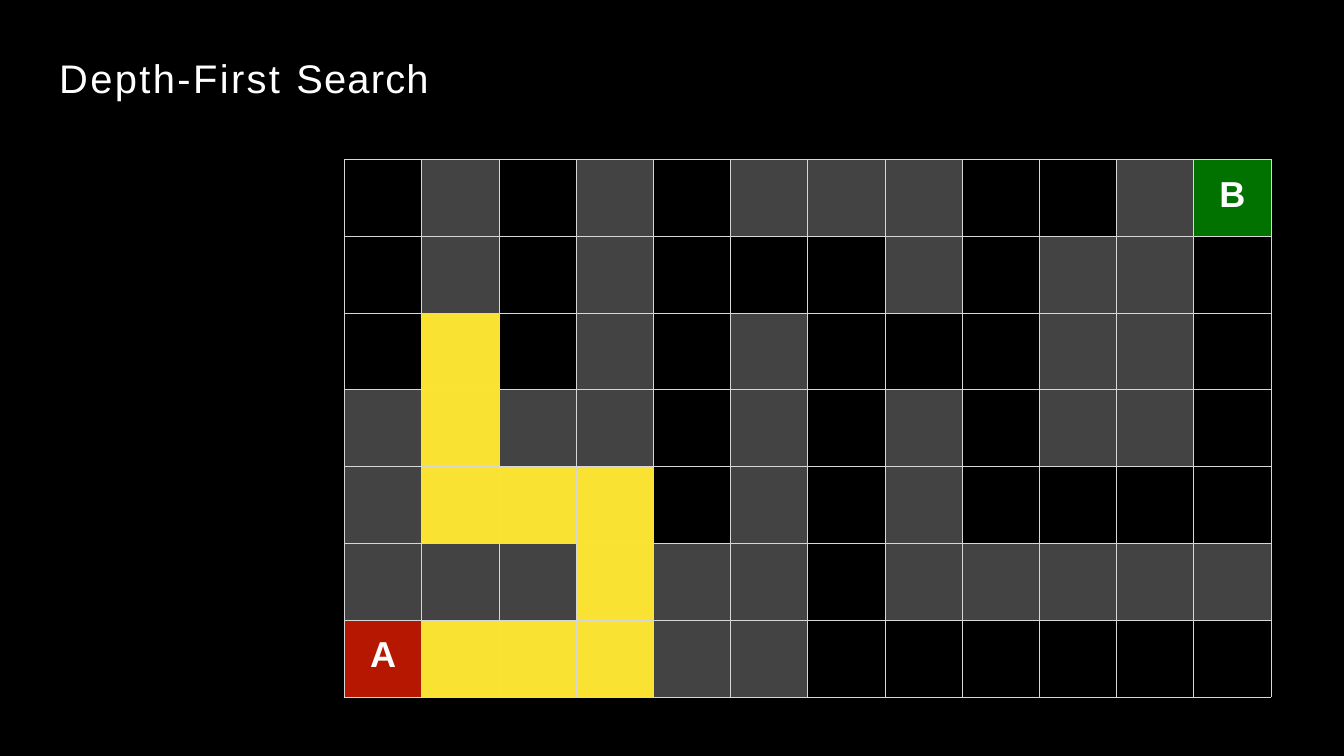
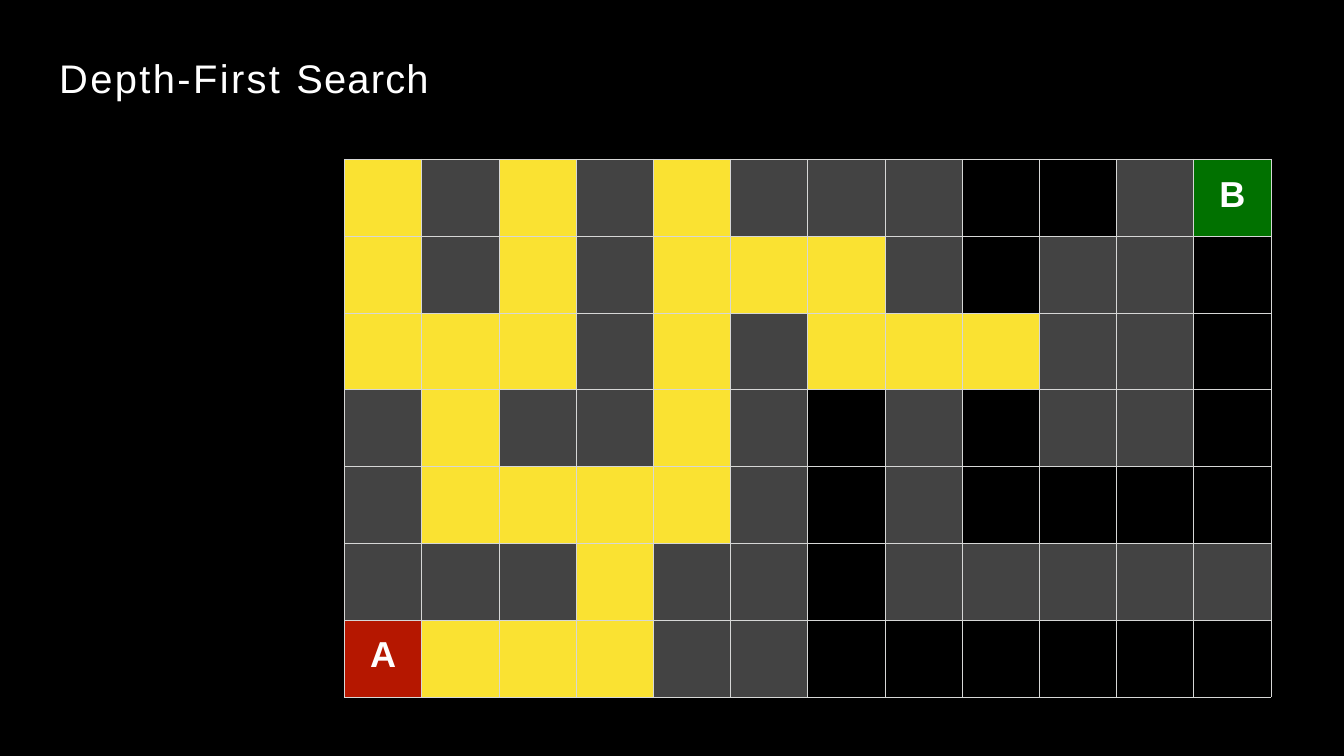
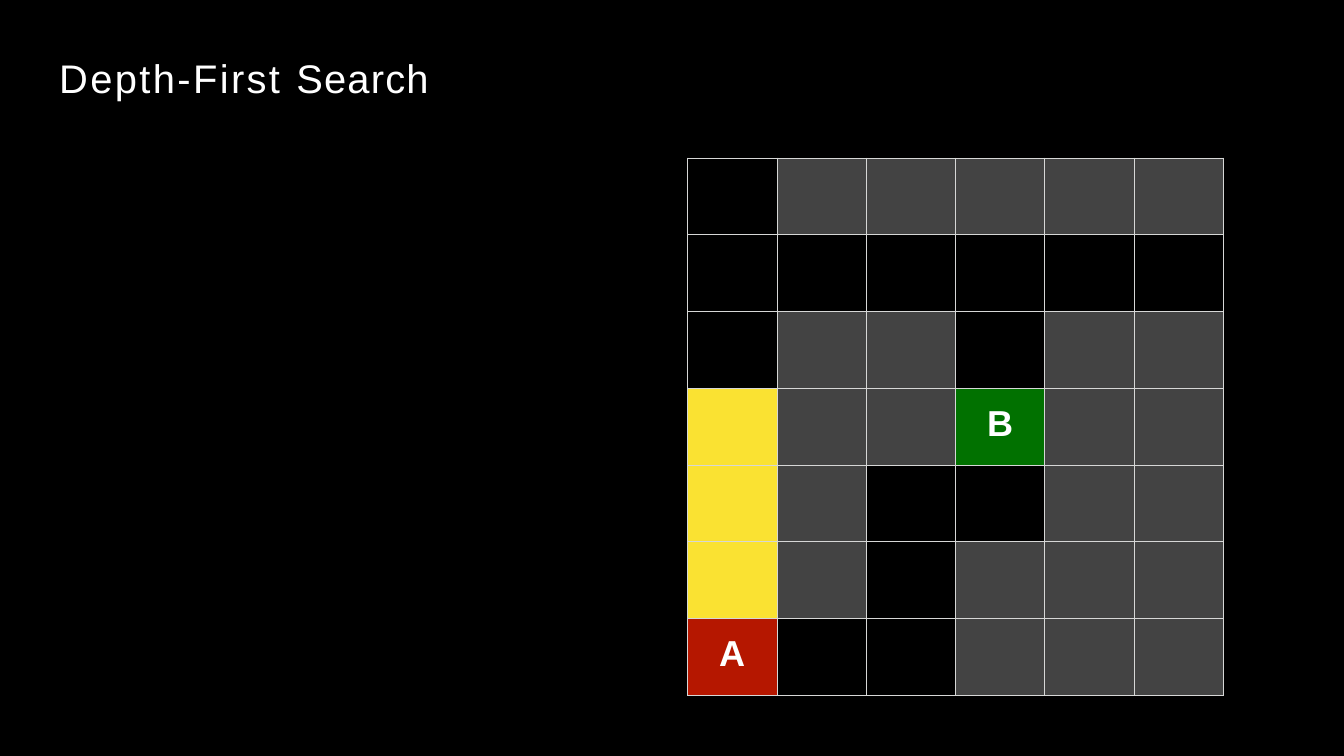
from lxml import etree
from pptx import Presentation
from pptx import util as u
from pptx.dml.color import RGBColor
from pptx.enum import shapes, text
from pptx.oxml import ns

COLORS = {
    "background": "000000",
    "text": "FFFFFF",
    "grid": "D6D7D6",
    "open": "000000",
    "wall": "434343",
    "explored": "FAE232",
    "start": "B51700",
    "goal": "017100",
}
FONT = "Arial"
TITLE_BOX = (69.75, 62, 439, 58)
TITLE_SPANS = (("Depth-First ", 2.8), ("Search", 1.4))
CELL_KINDS = {"#": "wall", ".": "open", "A": "start", "B": "goal"}

WIDE_MAZE = (
    "2#2#2###..#B",
    "2#2#222#.##.",
    "212#2#222##.",
    "#1##2#.#.##.",
    "#1112#.#....",
    "###1##.#####",
    "A111##......",
)
RING_MAZE = (
    ".#####",
    "......",
    ".##.##",
    "1##B##",
    "1#..##",
    "1#.###",
    "A..###",
)
WIDE_BOX = (406, 187.75, 1091.5, 633.5)
RING_BOX = (810, 186, 631.25, 633.5)
SLIDES = (
    (WIDE_MAZE, 1, WIDE_BOX),
    (WIDE_MAZE, 2, WIDE_BOX),
    (RING_MAZE, 1, RING_BOX),
)


def color(name):
    """Return the named palette colour."""
    return RGBColor.from_string(COLORS[name])


def add_backdrop(deck, page):
    """Draw a full-size backdrop and move it to the back of the master."""
    backdrop = page.shapes.add_shape(
        shapes.MSO_SHAPE.RECTANGLE, 0, 0, deck.slide_width, deck.slide_height
    )
    backdrop.shadow.inherit = False
    backdrop.fill.solid()
    backdrop.fill.fore_color.rgb = color("background")
    backdrop.line.fill.background()
    deck.slide_master.shapes._spTree.insert(2, backdrop._element)


def add_span(para, words, size, bold=False, spacing=0):
    """Add a formatted run of text to a paragraph."""
    span = para.add_run()
    span.text = words
    span.font.name = FONT
    span.font.size = u.Pt(size)
    span.font.bold = bold
    span.font.color.rgb = color("text")
    if spacing:
        span.font._element.set("spc", str(round(spacing * 100)))


def draw_title(page, box):
    """Place the slide title in the given box."""
    title = page.shapes.title
    title.left, title.top, title.width, title.height = map(u.Pt, box)
    frame = title.text_frame
    frame.margin_left = frame.margin_right = frame.margin_bottom = 0
    frame.margin_top = u.Pt(1)
    frame.vertical_anchor = text.MSO_ANCHOR.TOP
    frame.auto_size = text.MSO_AUTO_SIZE.SHAPE_TO_FIT_TEXT
    frame.word_wrap = True
    para = frame.paragraphs[0]
    para.alignment = text.PP_ALIGN.LEFT
    for words, spacing in TITLE_SPANS:
        add_span(para, words, 47, spacing=spacing)


def add_borders(cell):
    """Draw the grid line on all four sides of a cell."""
    properties = cell._tc.get_or_add_tcPr()
    for side in ("lnL", "lnR", "lnT", "lnB"):
        line = etree.SubElement(properties, ns.qn(f"a:{side}"), w=str(u.Pt(1)))
        fill = etree.SubElement(line, ns.qn("a:solidFill"))
        etree.SubElement(fill, ns.qn("a:srgbClr"), val=COLORS["grid"])


def format_cell(cell, mark, stage):
    """Fill, outline and label one maze cell."""
    add_borders(cell)
    if mark.isdigit():
        kind = "explored" if int(mark) <= stage else "open"
    else:
        kind = CELL_KINDS[mark]
    cell.fill.solid()
    cell.fill.fore_color.rgb = color(kind)
    cell.margin_left = cell.margin_right = cell.margin_bottom = 0
    cell.margin_top = u.Pt(18)
    if mark.isalpha():
        para = cell.text_frame.paragraphs[0]
        para.alignment = text.PP_ALIGN.CENTER
        add_span(para, mark, 42.5, bold=True)


def draw_maze(page, maze, stage, box):
    """Draw a maze table, with the cells explored up to a stage, in a box."""
    left, top, width, height = box
    row_count, column_count = len(maze), len(maze[0])
    table = page.shapes.add_table(
        row_count, column_count, u.Pt(left), u.Pt(top), u.Pt(width), u.Pt(height)
    ).table
    table.first_row = table.horz_banding = False
    for column in table.columns:
        column.width = u.Pt(width / column_count)
    for row, marks in zip(table.rows, maze):
        row.height = u.Pt(height / row_count)
        for cell, mark in zip(row.cells, marks):
            format_cell(cell, mark, stage)


def main():
    """Build and save the deck."""
    deck = Presentation()
    deck.slide_width, deck.slide_height = u.Pt(1583.25), u.Pt(890.75)
    title_only = deck.slide_layouts.get_by_name("Title Only")
    for maze, stage, box in SLIDES:
        page = deck.slides.add_slide(title_only)
        draw_title(page, TITLE_BOX)
        draw_maze(page, maze, stage, box)
    add_backdrop(deck, deck.slides[0])
    deck.save("out.pptx")


if __name__ == "__main__":
    main()
